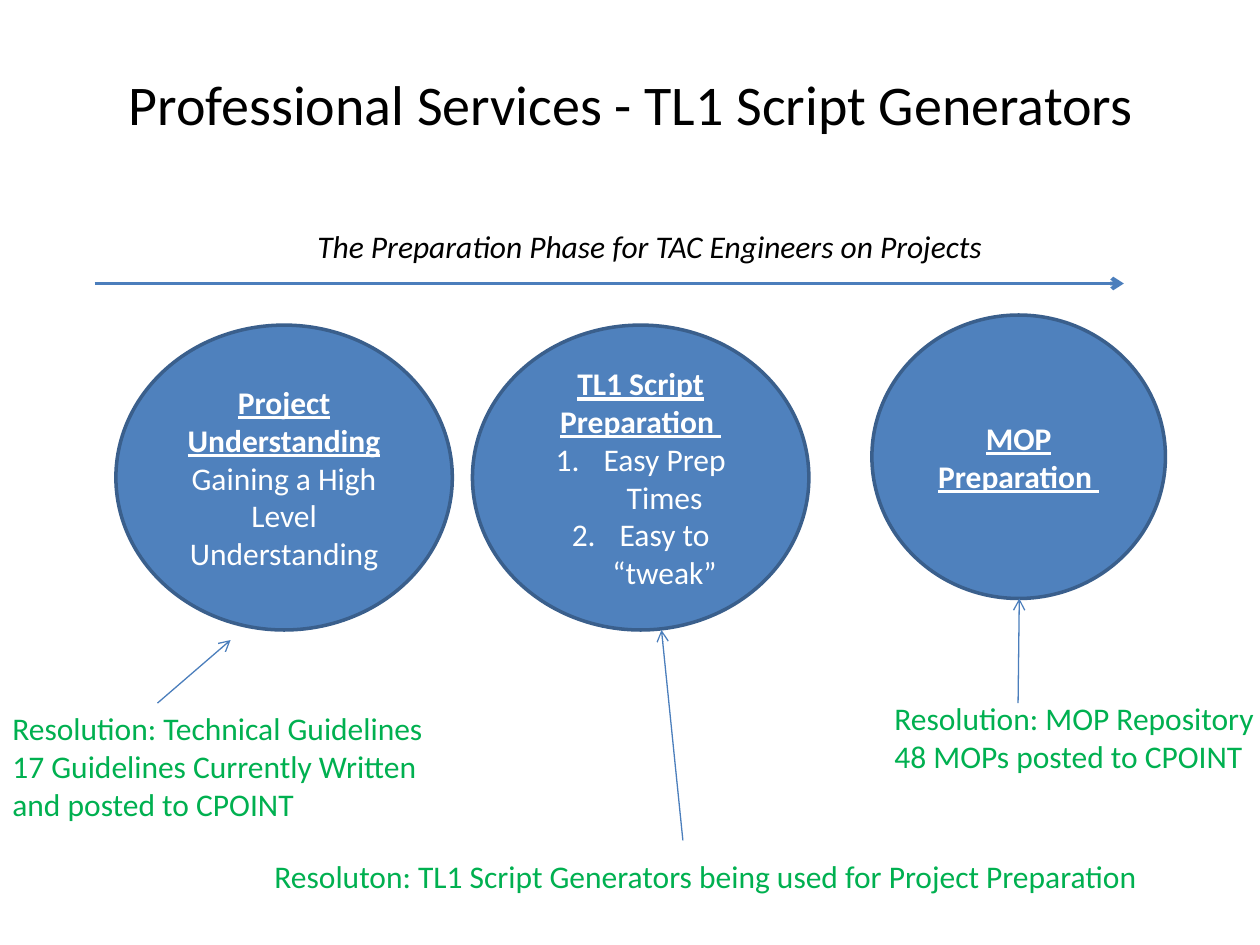
from lxml.etree import SubElement
from pptx import Presentation
from pptx.dml.color import RGBColor
from pptx.enum.shapes import MSO_CONNECTOR, MSO_SHAPE
from pptx.enum.text import MSO_ANCHOR, MSO_AUTO_SIZE, PP_ALIGN
from pptx.oxml.ns import qn
from pptx.util import Inches, Pt

BLUE = RGBColor(0x4F, 0x81, 0xBD)
OUTLINE = RGBColor(0x3A, 0x5F, 0x8C)
ARROW = RGBColor(0x4B, 0x7E, 0xBC)
GREEN = RGBColor(0x00, 0xB0, 0x50)
WHITE = RGBColor(0xFF, 0xFF, 0xFF)
BLACK = RGBColor(0, 0, 0)
HEADING = {"bold": True, "underline": True}

# Content: each paragraph is a list of (text, font style) runs
TITLE = "Professional Services - TL1 Script Generators"
PHASES = [
    ((0.92, 2.58, 2.67, 2.42), [[("Project Understanding ", HEADING),
                                 ("Gaining a High Level Understanding", {})]], []),
    ((3.75, 2.58, 2.67, 2.42), [[("TL1 Script Preparation ", HEADING)]],
     ["Easy Prep Times", "Easy to “tweak”"]),
    ((6.92, 2.5, 2.33, 2.25), [[("MOP Preparation ", HEADING)]], []),
]
CAPTIONS = [
    ((2.42, 1.75, 6.08, 0.42), BLACK, {"italic": True},
     ["The Preparation Phase for TAC Engineers on Projects"]),
    ((2.08, 6.75, 7.67, 0.4), GREEN, {},
     ["Resoluton: TL1 Script Generators being used for Project Preparation"]),
    ((0, 5.58, 3.92, 1.01), GREEN, {},
     ["Resolution: Technical Guidelines", "17 Guidelines Currently Written",
      "and posted to CPOINT"]),
    ((7, 5.5, 3.92, 0.71), GREEN, {},
     ["Resolution: MOP Repository", "48 MOPs posted to CPOINT"]),
]
ARROWS = [  # start, end, line width
    ((0.75, 2.25), (8.92, 2.25), 2.25),
    ((5.42, 6.67), (5.25, 5), 0.75),
    ((8.08, 5.58), (8.09, 4.75), 0.75),
    ((1.25, 5.58), (1.83, 5.08), 0.75),
]


def inches(values):
    return [Inches(value) for value in values]


def add_run(paragraph, text, color, size=18, **style):
    run = paragraph.add_run()
    run.text = text
    font = run.font
    font.name, font.size, font.color.rgb = "Calibri", Pt(size), color
    for name, value in style.items():
        setattr(font, name, value)


def write(frame, paragraphs, color, alignment):
    frame.word_wrap = True
    for index, runs in enumerate(paragraphs):
        paragraph = frame.add_paragraph() if index else frame.paragraphs[0]
        paragraph.alignment = alignment
        for text, style in runs:
            add_run(paragraph, text, color, **style)


def number(paragraph):
    properties = paragraph._p.get_or_add_pPr()
    properties.set("marL", str(Inches(0.38)))
    properties.set("indent", str(-Inches(0.38)))
    SubElement(properties, qn("a:buFont"), typeface="+mj-lt")
    SubElement(properties, qn("a:buAutoNum"), type="arabicPeriod")


presentation = Presentation()
presentation.slide_width, presentation.slide_height = Inches(10), Inches(7.5)
slide = presentation.slides.add_slide(presentation.slide_layouts[5])
shapes = slide.shapes

# Title
title = shapes.title
title.left, title.top, title.width, title.height = inches((0.92, 0.5, 9.5, 0.64))
title.text_frame.auto_size = MSO_AUTO_SIZE.NONE
title.text_frame.vertical_anchor = MSO_ANCHOR.TOP
write(title.text_frame, [[(TITLE, {"size": 32})]], BLACK, PP_ALIGN.LEFT)

# Phases
for box, paragraphs, steps in PHASES:
    phase = shapes.add_shape(MSO_SHAPE.OVAL, *inches(box))
    phase.shadow.inherit = False
    phase.fill.solid()
    phase.fill.fore_color.rgb = BLUE
    phase.line.color.rgb, phase.line.width = OUTLINE, Pt(2)
    frame = phase.text_frame
    frame.vertical_anchor = MSO_ANCHOR.MIDDLE
    write(frame, paragraphs + [[(step, {})] for step in steps], WHITE, PP_ALIGN.CENTER)
    for paragraph in frame.paragraphs[len(paragraphs):]:
        number(paragraph)

# Caption and resolutions
for box, color, style, lines in CAPTIONS:
    caption = shapes.add_textbox(*inches(box))
    write(caption.text_frame, [[(line, style)] for line in lines], color, PP_ALIGN.LEFT)

# Arrows
for start, end, width in ARROWS:
    arrow = shapes.add_connector(MSO_CONNECTOR.STRAIGHT, *inches(start + end))
    arrow.line.color.rgb, arrow.line.width = ARROW, Pt(width)
    SubElement(arrow.line._get_or_add_ln(), qn("a:tailEnd"), type="arrow")
    SubElement(arrow._element.spPr, qn("a:effectLst"))

presentation.save("out.pptx")
